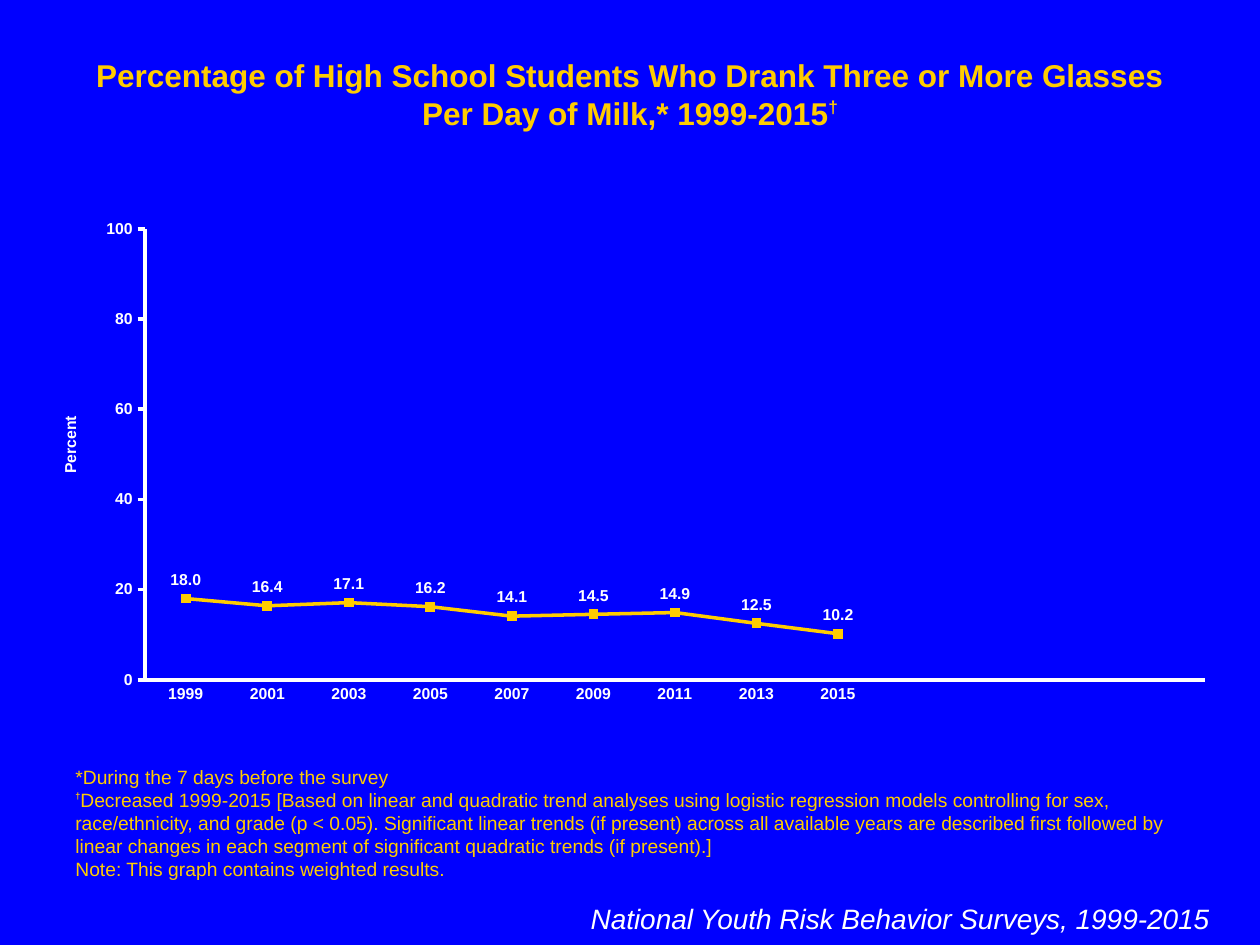
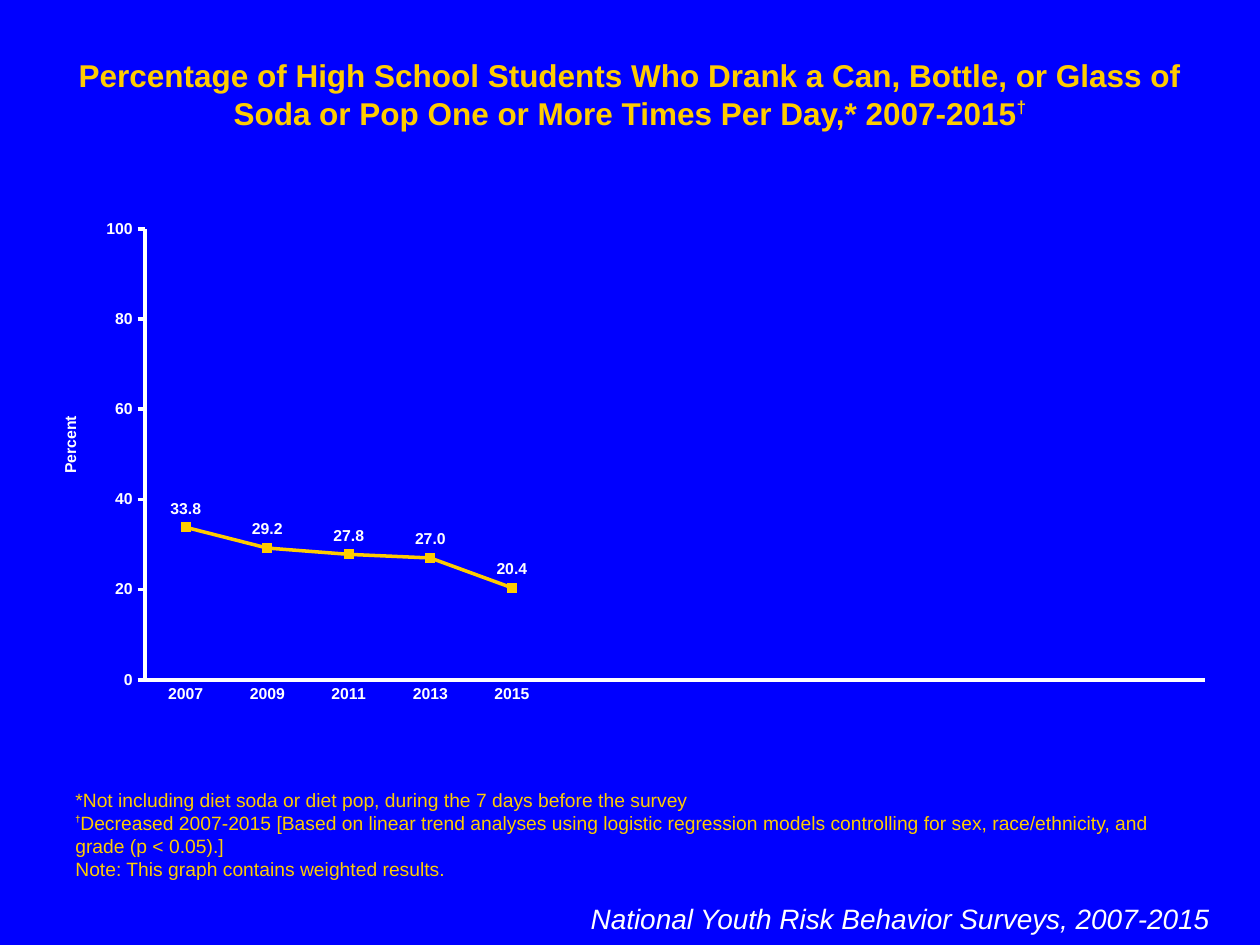
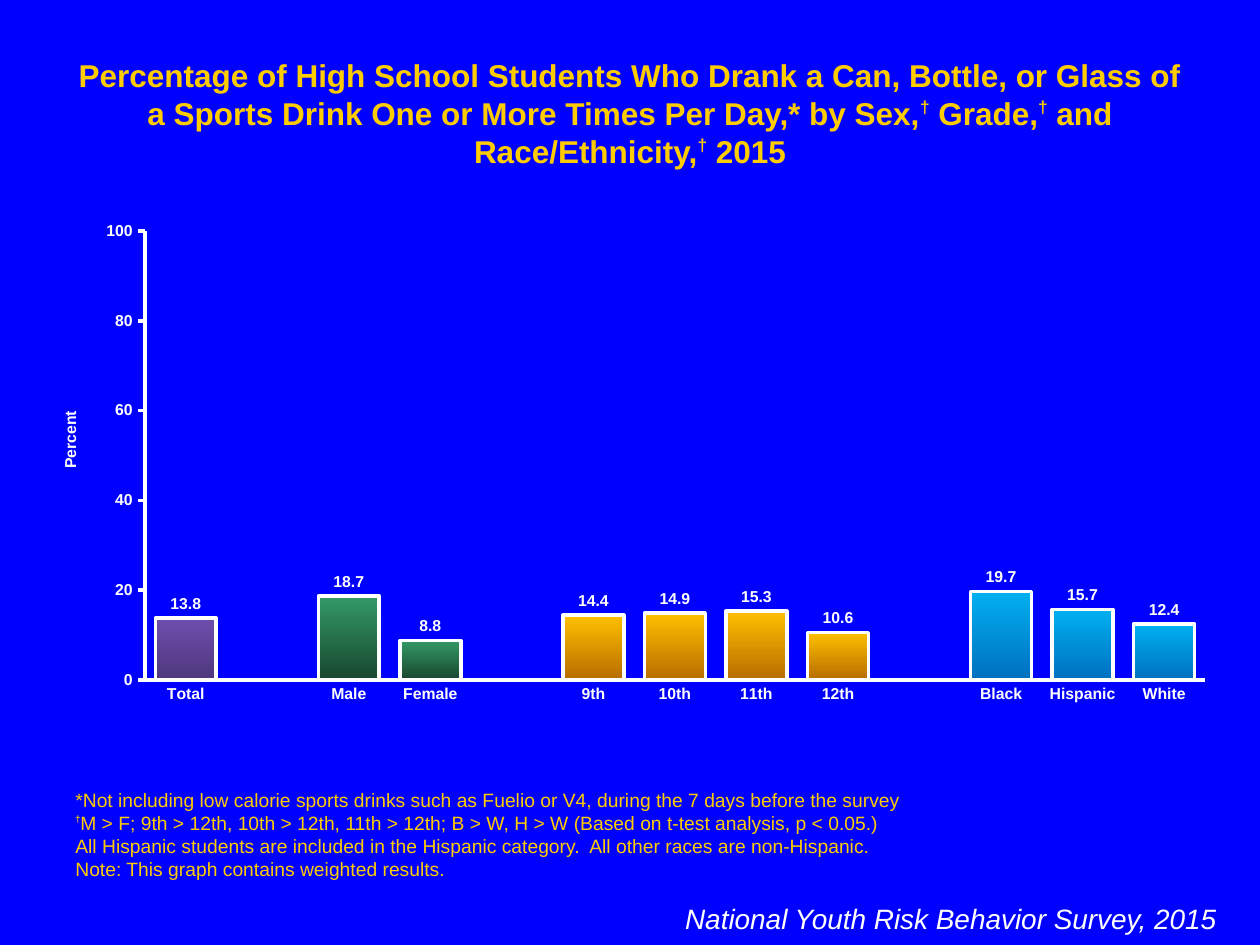
import pptx
import pptx.util
import pptx.chart.data
import pptx.dml.color
import pptx.enum.chart
import pptx.enum.text
import pptx.oxml
import pptx.oxml.ns

# Content
COLORS = {"background": "0000FF", "gold": "FFCC00", "white": "FFFFFF"}
FONT = "Arial"
DAGGER = "†"
WEIGHTED_NOTE = "Note: This graph contains weighted results."
SLOTS = 13  # category places on every chart

TOTAL, SEX = ("6E4EAE", "4F387C"), ("339966", "18472F")
GRADE, RACE = ("FFC000", "B66D00"), ("00B0F0", "0070C0")

SLIDES = [
    {
        "title": "Percentage of High School Students Who Drank Three or More "
                 "Glasses Per Day of Milk,* 1999-2015†",
        "footnotes": [
            "*During the 7 days before the survey",
            "†Decreased 1999-2015 [Based on linear and quadratic trend analyses "
            "using logistic regression models controlling for sex, "
            "race/ethnicity, and grade (p < 0.05). Significant linear trends "
            "(if present) across all available years are described first "
            "followed by linear changes in each segment of significant "
            "quadratic trends (if present).]",
            WEIGHTED_NOTE,
        ],
        "survey": "National Youth Risk Behavior Surveys, 1999-2015",
        "trend": {"1999": 18.0, "2001": 16.4, "2003": 17.1, "2005": 16.2,
                  "2007": 14.1, "2009": 14.5, "2011": 14.9, "2013": 12.5,
                  "2015": 10.2},
    },
    {
        "title": "Percentage of High School Students Who Drank a Can, Bottle, "
                 "or Glass of Soda or Pop One or More Times Per Day,* 2007-2015†",
        "footnotes": [
            "*Not including diet soda or diet pop, during the 7 days before "
            "the survey",
            "†Decreased 2007-2015 [Based on linear trend analyses using "
            "logistic regression models controlling for sex, race/ethnicity, "
            "and grade (p < 0.05).]",
            WEIGHTED_NOTE,
        ],
        "survey": "National Youth Risk Behavior Surveys, 2007-2015",
        "trend": {"2007": 33.8, "2009": 29.2, "2011": 27.8, "2013": 27.0,
                  "2015": 20.4},
    },
    {
        "title": "Percentage of High School Students Who Drank a Can, Bottle, "
                 "or Glass of a Sports Drink One or More Times Per Day,* "
                 "by Sex,† Grade,† and Race/Ethnicity,† 2015",
        "footnotes": [
            "*Not including low calorie sports drinks such as Fuelio or V4, "
            "during the 7 days before the survey",
            "†M > F; 9th > 12th, 10th > 12th, 11th > 12th; B > W, H > W "
            "(Based on t-test analysis, p < 0.05.)",
            "All Hispanic students are included in the Hispanic category.  "
            "All other races are non-Hispanic.",
            WEIGHTED_NOTE,
        ],
        "survey": "National Youth Risk Behavior Survey, 2015",
        "groups": [
            (TOTAL, {"Total": 13.8}),
            (SEX, {"Male": 18.7, "Female": 8.8}),
            (GRADE, {"9th": 14.4, "10th": 14.9, "11th": 15.3, "12th": 10.6}),
            (RACE, {"Black": 19.7, "Hispanic": 15.7, "White": 12.4}),
        ],
    },
]

# Places in px: left, top, width, height
TITLE_BOX = (63, 50, 1134, 50)
NOTES_BOX = (63, 850, 1134, 37)
TREND_PLACES = {"survey": (571, 895, 651, 47), "chart": (32, 210, 1197, 504),
                "plot": (145, 229, 1060, 451), "percent": (57, 413)}
GROUP_PLACES = {"survey": (536, 895, 693, 81), "chart": (32, 213, 1197, 501),
                "plot": (145, 231, 1060, 449), "percent": (57, 408)}


def px(length):
    return pptx.util.Emu(round(length * 914400 / 126))


def rgb(name):
    return pptx.dml.color.RGBColor.from_string(COLORS.get(name, name))


def style_font(font, size, color, bold=False, italic=False):
    font.name, font.size = FONT, pptx.util.Pt(size)
    font.bold, font.italic = bold, italic
    font.color.rgb = rgb(color)


def style_line(line, color):
    line.color.rgb = rgb(color)
    line.width = pptx.util.Pt(2)


# Text
def add_text(slide, box, texts, size, color, align, bottom=False,
             dagger=None, **style):
    frame = slide.shapes.add_textbox(*map(px, box)).text_frame
    frame.word_wrap = True
    frame.auto_size = pptx.enum.text.MSO_AUTO_SIZE.SHAPE_TO_FIT_TEXT
    if bottom:
        frame.vertical_anchor = pptx.enum.text.MSO_ANCHOR.BOTTOM
    for index, text in enumerate(texts):
        paragraph = frame.add_paragraph() if index else frame.paragraphs[0]
        paragraph.alignment = align
        style_font(paragraph.font, size, color, **style)
        for part_index, part in enumerate(text.split(DAGGER)):
            if part_index:
                mark = paragraph.add_run()
                mark.text = DAGGER
                mark.font.size, mark.font.bold = pptx.util.Pt(dagger[0]), True
                mark._r.get_or_add_rPr().set("baseline", str(dagger[1] * 1000))
            if part:
                paragraph.add_run().text = part


# Charts
def set_layout(parent, index, chart_box, spot, inner=False):
    """Fix a chart part at a px spot, as fractions of the chart box."""
    old = parent.find(pptx.oxml.ns.qn("c:layout"))
    if old is not None:
        parent.remove(old)
    left, top, width, height = chart_box
    fractions = [(spot[0] - left) / width, (spot[1] - top) / height]
    fractions += [size / full for size, full in zip(spot[2:], (width, height))]
    target = '<c:layoutTarget val="inner"/>' if inner else ""
    modes = '<c:xMode val="edge"/><c:yMode val="edge"/>'
    values = "".join(f'<c:{key} val="{value:.4f}"/>'
                     for key, value in zip("xywh", fractions))
    parent.insert(index, pptx.oxml.parse_xml(
        f'<c:layout {pptx.oxml.ns.nsdecls("c")}><c:manualLayout>'
        f'{target}{modes}{values}</c:manualLayout></c:layout>'))


def add_percent_chart(slide, kind, names, values, places, label_position):
    data = pptx.chart.data.CategoryChartData(number_format="General")
    data.categories = names
    data.add_series("Series 1", values)
    chart = slide.shapes.add_chart(kind, *map(px, places["chart"]), data).chart
    chart.has_legend = chart.has_title = False
    style_font(chart.font, 18, "white")
    tick = pptx.enum.chart.XL_TICK_MARK
    percent, groups = chart.value_axis, chart.category_axis
    for axis, mark in ((percent, tick.OUTSIDE), (groups, tick.NONE)):
        axis.has_major_gridlines = False
        axis.major_tick_mark, axis.minor_tick_mark = mark, tick.NONE
        style_font(axis.tick_labels.font, 9, "white", bold=True)
        style_line(axis.format.line, "white")
    percent.minimum_scale, percent.maximum_scale = 0, 100
    percent.major_unit = 20
    percent.tick_labels.number_format = "#,##0"
    percent.tick_labels.number_format_is_linked = False

    frame = percent.axis_title.text_frame
    frame.text = "Percent"
    style_font(frame.paragraphs[0].runs[0].font, 9, "white", bold=True)
    turn = frame._txBody.bodyPr
    turn.set("rot", "-5400000")
    turn.set("vert", "horz")
    set_layout(percent.axis_title._element, 1, places["chart"], places["percent"])
    set_layout(chart._chartSpace.chart.plotArea, 0, places["chart"],
               places["plot"], inner=True)

    plot = chart.plots[0]
    plot.vary_by_categories = False
    plot.has_data_labels = True
    labels = plot.data_labels
    labels.show_value = True
    labels.number_format, labels.number_format_is_linked = "#,##0.0", False
    labels.position = label_position
    style_font(labels.font, 9, "white", bold=True)
    return plot


def add_trend(slide, trend):
    spare = SLOTS - len(trend)
    plot = add_percent_chart(
        slide, pptx.enum.chart.XL_CHART_TYPE.LINE_MARKERS,
        [*trend, *[""] * spare], [*trend.values(), *[None] * spare],
        TREND_PLACES, pptx.enum.chart.XL_LABEL_POSITION.ABOVE)
    line = plot.series[0]
    line.smooth = False
    style_line(line.format.line, "gold")
    line.marker.style = pptx.enum.chart.XL_MARKER_STYLE.SQUARE
    line.marker.size = 5
    line.marker.format.fill.solid()
    line.marker.format.fill.fore_color.rgb = rgb("gold")
    line.marker.format.line.color.rgb = rgb("gold")


def add_groups(slide, groups):
    bars = []
    for shades, group in groups:
        if bars:
            bars.append(("", None, None))  # gap between groups
        bars += [(name, value, shades) for name, value in group.items()]
    names, values, fills = zip(*bars)
    plot = add_percent_chart(
        slide, pptx.enum.chart.XL_CHART_TYPE.COLUMN_CLUSTERED, names, values,
        GROUP_PLACES, pptx.enum.chart.XL_LABEL_POSITION.OUTSIDE_END)
    plot.gap_width, plot.overlap = 34, 100
    series = plot.series[0]
    style_line(series.format.line, "white")
    for index, shades in enumerate(fills):
        if shades:
            bar = series.points[index].format
            bar.fill.gradient()
            bar.fill.gradient_angle = 270
            for stop, shade in zip(bar.fill.gradient_stops, shades):
                stop.color.rgb = rgb(shade)
            style_line(bar.line, "white")


def main():
    deck = pptx.Presentation()
    deck.slide_width, deck.slide_height = px(1260), px(945)
    backdrop = deck.slide_master.background.fill
    backdrop.solid()
    backdrop.fore_color.rgb = rgb("background")
    align = pptx.enum.text.PP_ALIGN
    for content in SLIDES:
        slide = deck.slides.add_slide(deck.slide_layouts[6])
        places = TREND_PLACES if "trend" in content else GROUP_PLACES
        add_text(slide, TITLE_BOX, [content["title"]], 18, "gold",
                 align.CENTER, dagger=(17, 40), bold=True)
        add_text(slide, NOTES_BOX, content["footnotes"], 11, "gold",
                 align.LEFT, bottom=True, dagger=(9, 50))
        add_text(slide, places["survey"], [content["survey"]], 16, "white",
                 align.RIGHT, italic=True)
        if "trend" in content:
            add_trend(slide, content["trend"])
        else:
            add_groups(slide, content["groups"])
    deck.save("out.pptx")


if __name__ == "__main__":
    main()
